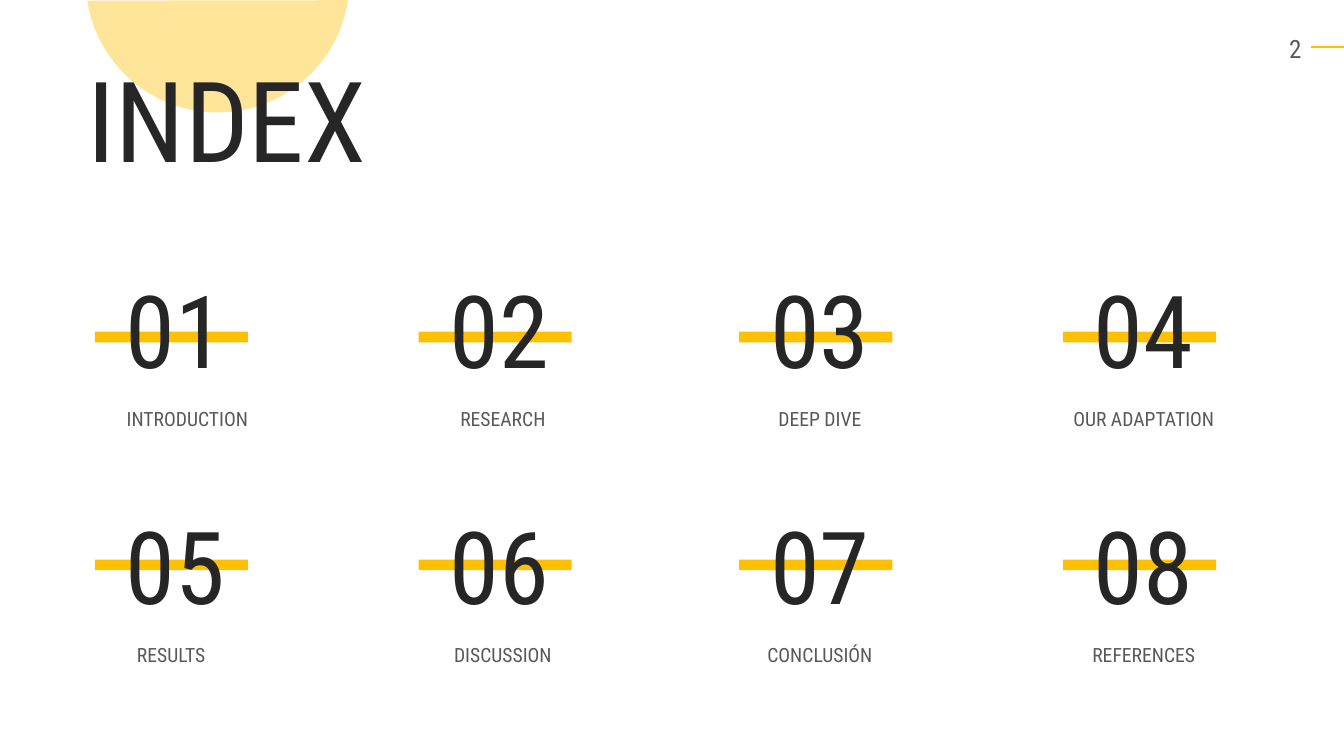
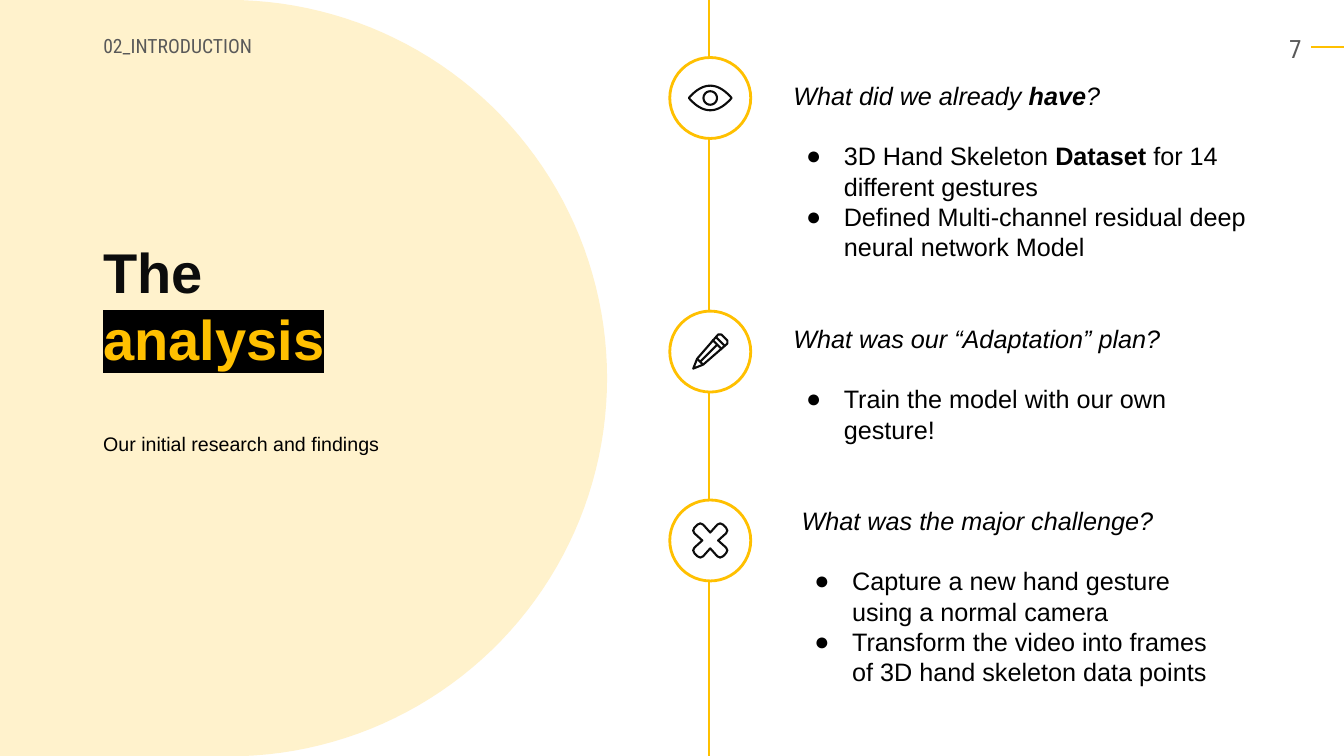
"""Build an index slide and an analysis timeline slide."""
import math
from dataclasses import dataclass

import lxml.etree
import pptx
import pptx.dml.color
import pptx.enum.shapes
import pptx.enum.text
import pptx.oxml
import pptx.oxml.ns
import pptx.util

Cm = pptx.util.Cm
Pt = pptx.util.Pt
MSO_SHAPE = pptx.enum.shapes.MSO_SHAPE
ALIGN = pptx.enum.text.PP_ALIGN
ANCHOR = pptx.enum.text.MSO_ANCHOR
qn = pptx.oxml.ns.qn


@dataclass(frozen=True)
class Theme:
    accent: str = "FFC000"
    sun: str = "FEE599"
    pale: str = "FFF2CC"
    white: str = "FFFFFF"
    black: str = "000000"
    ink: str = "0C0C0C"
    dark: str = "262626"
    grey: str = "595959"
    display_font: str = "Roboto Condensed"
    text_font: str = "Arial"
    index_size: int = 80
    number_size: int = 72
    title_size: int = 40
    body_size: int = 18
    label_size: int = 14


theme = Theme()


def paint(shape, fill=None, line=None, width=1.5):
    shape.shadow.inherit = False
    if fill:
        shape.fill.solid()
        shape.fill.fore_color.rgb = pptx.dml.color.RGBColor.from_string(fill)
    else:
        shape.fill.background()
    if line:
        shape.line.color.rgb = pptx.dml.color.RGBColor.from_string(line)
        shape.line.width = Pt(width)
    else:
        shape.line.fill.background()


def write(shape, box, paragraphs, size, color, font, align=ALIGN.LEFT,
          anchor=ANCHOR.TOP, spacing=1.0):
    shape.left, shape.top, shape.width, shape.height = [Cm(value) for value in box]
    frame = shape.text_frame
    frame.word_wrap = True
    frame.auto_size = pptx.enum.text.MSO_AUTO_SIZE.NONE
    frame.vertical_anchor = anchor
    for index, text in enumerate(paragraphs):
        paragraph = frame.paragraphs[0] if index == 0 else frame.add_paragraph()
        paragraph.text = text
        paragraph.alignment = align
        paragraph.line_spacing = spacing
        paragraph.space_before = Pt(0)
        properties = paragraph._p.get_or_add_pPr()
        properties.set("marL", "0")
        properties.set("indent", "0")
        lxml.etree.SubElement(properties, qn("a:buNone"))
        paragraph.font.size = Pt(size)
        paragraph.font.name = font
        paragraph.font.bold = False
        paragraph.font.color.rgb = pptx.dml.color.RGBColor.from_string(color)
    return frame


presentation = pptx.Presentation()
presentation.slide_width = Cm(33.87)
presentation.slide_height = Cm(19.05)
index_slide = presentation.slides.add_slide(presentation.slide_layouts[5])
analysis_slide = presentation.slides.add_slide(presentation.slide_layouts[4])

for slide, page in ((index_slide, "2"), (analysis_slide, "7")):
    write(slide.shapes.add_textbox(0, 0, 0, 0), (30.92, 0.72, 2.13, 0.89), [page],
          theme.body_size, theme.grey, theme.display_font, ALIGN.RIGHT)

page_rule = (33.05, 1.19, 33.87, 1.19, 1.5)
timeline = (17.87, 0, 17.87, 19.05, 1.75)
for slide, rule in ((index_slide, page_rule), (analysis_slide, page_rule),
                    (analysis_slide, timeline)):
    connector = slide.shapes.add_connector(
        pptx.enum.shapes.MSO_CONNECTOR.STRAIGHT, *[Cm(value) for value in rule[:4]])
    connector.line.color.rgb = pptx.dml.color.RGBColor.from_string(theme.accent)
    connector.line.width = Pt(rule[4])
    lxml.etree.SubElement(connector.element.spPr, qn("a:effectLst"))

# Index slide
index_title = index_slide.shapes.title
write(index_title, (1.96, 1.14, 9.3, 3.68), ["INDEX"],
      theme.index_size, theme.dark, theme.display_font)
sun = index_slide.shapes.add_shape(MSO_SHAPE.CHORD, Cm(2.16), Cm(-3.82), Cm(6.65), Cm(6.65))
sun.rotation = 270
sun.adjustments[0] = 59.17
sun.adjustments[1] = 156.72
paint(sun, theme.sun)
index_title.element.addprevious(sun.element)

sections = [("INTRODUCTION", 4.73), ("RESEARCH", 12.68), ("DEEP DIVE", 20.67),
            ("OUR ADAPTATION", 28.83), ("RESULTS", 4.32), ("DISCUSSION", 12.68),
            ("CONCLUSIÓN", 20.67), ("REFERENCES", 28.83)]
column_lefts = [2.39, 10.55, 18.63, 26.79]
row_tops = [(8.36, 6.63, 10.13), (14.1, 12.58, 16.08)]
for position, (section, label_center) in enumerate(sections):
    row, column = divmod(position, len(column_lefts))
    bar_top, number_top, label_top = row_tops[row]
    left = column_lefts[column]
    bar = index_slide.shapes.add_shape(
        MSO_SHAPE.RECTANGLE, Cm(left), Cm(bar_top), Cm(3.86), Cm(0.27))
    paint(bar, theme.accent)
    write(index_slide.shapes.add_textbox(0, 0, 0, 0), (left + 0.25, number_top, 3.56, 3.33),
          [f"{position + 1:02d}"], theme.number_size, theme.dark, theme.display_font,
          ALIGN.CENTER)
    write(index_slide.shapes.add_textbox(0, 0, 0, 0), (label_center - 3.04, label_top, 6.07, 0.86),
          [section], theme.label_size, theme.grey, theme.display_font, ALIGN.CENTER)

# Analysis slide
analysis_title = analysis_slide.shapes.title
title_frame = write(analysis_title, (2.35, 5.86, 10.85, 3.68), ["The", "analysis"],
                    theme.title_size, theme.ink, theme.text_font)
for paragraph in title_frame.paragraphs:
    paragraph.font.bold = True
marked = title_frame.paragraphs[1]
marked.font.color.rgb = pptx.dml.color.RGBColor.from_string(theme.accent)
highlight = lxml.etree.SubElement(marked.runs[0].font._element, qn("a:highlight"))
lxml.etree.SubElement(highlight, qn("a:srgbClr"), val=theme.black)

write(analysis_slide.shapes.add_textbox(0, 0, 0, 0), (2.35, 10.46, 10.52, 2.18),
      ["Our initial research and findings"], theme.label_size, theme.black,
      theme.text_font, spacing=1.5)
write(analysis_slide.placeholders[1], (2.35, 0.68, 8.46, 1.02), ["02_INTRODUCTION"],
      theme.label_size, theme.grey, theme.display_font, anchor=ANCHOR.MIDDLE, spacing=0.9)

radius = 9.53
arc = [(5.77 + radius * math.cos(math.radians(angle)),
        radius + radius * math.sin(math.radians(angle))) for angle in range(-90, 91, 2)]
builder = analysis_slide.shapes.build_freeform(0, 0)
builder.add_line_segments([(Cm(x), Cm(y)) for x, y in arc + [(0, 2 * radius)]], close=True)
half_disc = builder.convert_to_shape()
paint(half_disc, theme.pale)
analysis_title.element.addprevious(half_disc.element)

questions = [
    (2, (19.74, 1.9, 12.14, 5), ANCHOR.TOP,
     [["What did we already ", "have", "?"],
      ["3D Hand Skeleton ", "Dataset", " for 14 different gestures"],
      ["Defined Multi-channel residual deep neural network Model"]]),
    (3, (19.74, 7.87, 11.48, 3.6), ANCHOR.MIDDLE,
     [["What was our “Adaptation” plan?"],
      ["Train the model with our own gesture!"]]),
    (4, (19.95, 12.61, 11.28, 5), ANCHOR.TOP,
     [["What was the major challenge?"],
      ["Capture a new hand gesture using a normal camera"],
      ["Transform the video into frames of 3D hand skeleton data points"]]),
]
for placeholder, box, anchor, paragraphs in questions:
    frame = write(analysis_slide.placeholders[placeholder], box, [""] * len(paragraphs),
                  theme.body_size, theme.black, theme.text_font, anchor=anchor)
    for index, (paragraph, texts) in enumerate(zip(frame.paragraphs, paragraphs)):
        for part, text in enumerate(texts):
            run = paragraph.add_run()
            run.text = text
            if part == 1:
                run.font.bold = True
        if index == 0:
            paragraph.font.italic = True
            paragraph.space_after = Pt(21.5)
            continue
        properties = paragraph._p.pPr
        properties.set("marL", str(Cm(1.27)))
        properties.set("indent", str(Cm(-0.95)))
        no_bullet = properties.find(qn("a:buNone"))
        bullet_color = pptx.oxml.parse_xml(
            f'<a:buClr {pptx.oxml.ns.nsdecls("a")}><a:srgbClr val="{theme.black}"/></a:buClr>')
        no_bullet.addprevious(bullet_color)
        bullet = lxml.etree.Element(qn("a:buChar"), char="●")
        properties.replace(no_bullet, bullet)

steps = [step / 10 for step in range(-10, 11)]
eyelid = [(0.54 * step, -0.31 * (1 - step ** 2)) for step in steps]
eye = [(eyelid + [(-x, -y) for x, y in eyelid], True),
       ([(0.17 * math.cos(math.radians(angle)), 0.17 * math.sin(math.radians(angle)))
         for angle in range(0, 360, 15)], True)]
pencil = [([(0.28, -0.43), (0.43, -0.28), (0.43, -0.2), (-0.18, 0.33), (-0.43, 0.43),
            (-0.33, 0.18), (0.2, -0.43)], True),
          ([(0.13, -0.38), (0.38, -0.13)], False),
          ([(0.05, -0.3), (0.3, -0.05)], False),
          ([(0.17, -0.17), (-0.25, 0.25)], False),
          ([(-0.33, 0.18), (-0.18, 0.33)], False)]
arm = [(0, -0.2), (0.18, -0.4), (0.25, -0.43), (0.32, -0.4),
       (0.4, -0.32), (0.43, -0.25), (0.4, -0.18)]
cross = [(arm + [(-y, x) for x, y in arm] + [(-x, -y) for x, y in arm]
          + [(y, -x) for x, y in arm], True)]

badge_size = 2.04
center_x = 17.9
for center_y, icon in ((2.47, eye), (8.86, pencil), (13.62, cross)):
    badge = analysis_slide.shapes.add_shape(
        MSO_SHAPE.OVAL, Cm(center_x - badge_size / 2), Cm(center_y - badge_size / 2),
        Cm(badge_size), Cm(badge_size))
    paint(badge, theme.white, theme.accent, 2)
    builder = None
    for points, closed in icon:
        placed = [(Cm(center_x + x), Cm(center_y + y)) for x, y in points]
        if builder is None:
            builder = analysis_slide.shapes.build_freeform(*placed[0])
        else:
            builder.move_to(*placed[0])
        builder.add_line_segments(placed[1:], close=closed)
    paint(builder.convert_to_shape(), line=theme.ink)

presentation.save("out.pptx")
